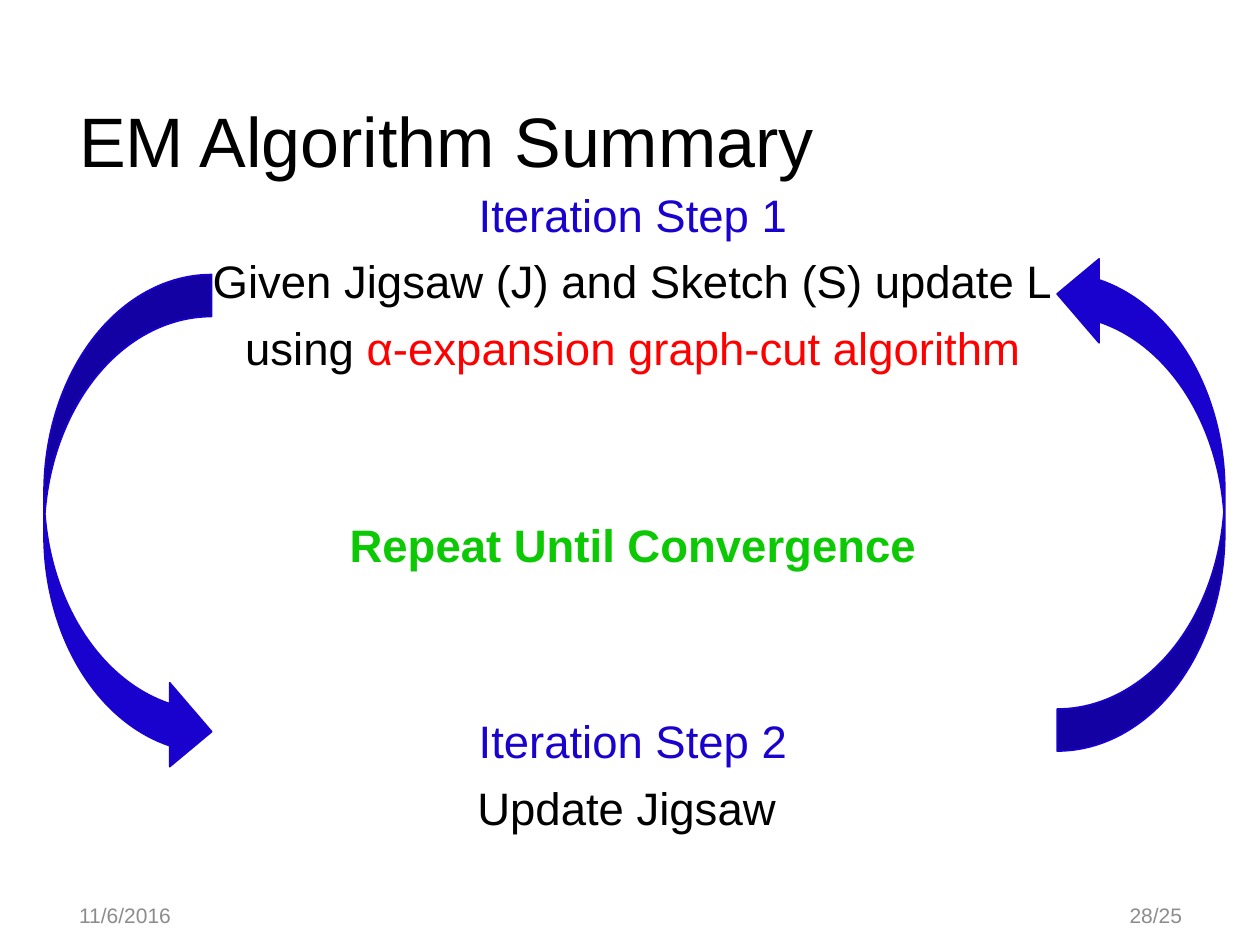
"""Build the EM algorithm summary slide."""
from dataclasses import dataclass

from pptx import Presentation
from pptx.dml.color import RGBColor
from pptx.enum.shapes import MSO_SHAPE as Shape
from pptx.enum.text import MSO_ANCHOR as Anchor, PP_ALIGN as Align
from pptx.slide import Slide
from pptx.util import Inches, Pt

COLORS = {"text": "000000", "blue": "1A02CE", "red": "FF0000",
          "green": "0DC804", "gray": "8C8C8C"}
FONT = "Arial"
LINE_GAP = 7.1
SECTION_GAP = 81.1


@dataclass(frozen=True)
class Line:
    phrases: tuple[tuple[str, str], ...]
    space_before: float = LINE_GAP
    bold: bool = False


@dataclass(frozen=True)
class Block:
    box: tuple[float, float, float, float]
    lines: tuple[Line, ...]
    size: int
    align: Align = Align.LEFT
    anchor: Anchor = Anchor.MIDDLE
    top_inset: float = 0.05
    bottom_inset: float = 0.05


@dataclass(frozen=True)
class LoopArrow:
    left: float
    top: float
    rotation: int


def single(text: str, color: str) -> tuple[Line, ...]:
    """Return one line of one colour, without space before it."""
    return (Line(((text, color),), 0),)


STEPS = (
    Line((("Iteration Step 1", "blue"),), 0),
    Line((("Given Jigsaw (J) and Sketch (S) update L", "text"),)),
    Line((("using ", "text"), ("α-expansion graph-cut algorithm", "red"))),
    Line((("Repeat Until Convergence", "green"),), SECTION_GAP, True),
    Line((("Iteration Step 2", "blue"),), SECTION_GAP),
    Line((("Update Jigsaw ", "text"),)),
)
BLOCKS = (
    Block((0.53, 0.57, 8.99, 0.97), single("EM Algorithm Summary", "text"), 40,
          anchor=Anchor.BOTTOM, bottom_inset=0.1),
    Block((0.53, 7.06, 2.25, 0.4), single("11/6/2016", "gray"), 12),
    Block((7.23, 7.06, 2.25, 0.4), single("28/25", "gray"), 12, Align.RIGHT),
    Block((0.53, 1.39, 8.99, 5.28), STEPS, 26, Align.CENTER, Anchor.TOP, 0.09),
)
LOOP_ARROWS = (LoopArrow(0.35, 2.18, 0), LoopArrow(8.39, 2, 180))


def rgb(color: str) -> RGBColor:
    """Look up a named colour."""
    return RGBColor.from_string(COLORS[color])


def draw_block(slide: Slide, block: Block) -> None:
    """Draw a text block with its paragraphs."""
    frame = slide.shapes.add_textbox(*map(Inches, block.box)).text_frame
    frame.word_wrap = True
    frame.vertical_anchor = block.anchor
    frame.margin_top = Inches(block.top_inset)
    frame.margin_bottom = Inches(block.bottom_inset)
    for index, line in enumerate(block.lines):
        paragraph = frame.add_paragraph() if index else frame.paragraphs[0]
        paragraph.alignment = block.align
        paragraph.space_before = Pt(line.space_before)
        paragraph.font.name = FONT
        paragraph.font.size = Pt(block.size)
        paragraph.font.bold = line.bold
        for text, color in line.phrases:
            run = paragraph.add_run()
            run.text = text
            run.font.color.rgb = rgb(color)


def draw_loop_arrow(slide: Slide, arrow: LoopArrow) -> None:
    """Draw one curved arrow of the iteration loop."""
    curve = slide.shapes.add_shape(Shape.CURVED_RIGHT_ARROW, Inches(arrow.left),
                                   Inches(arrow.top), Inches(1.33), Inches(3.96))
    curve.rotation = arrow.rotation
    curve.shadow.inherit = False
    curve.fill.solid()
    curve.fill.fore_color.rgb = rgb("blue")
    curve.line.color.rgb = rgb("blue")
    curve.line.width = Pt(1)


def main() -> None:
    """Build and save the slide."""
    deck = Presentation()
    deck.slide_width, deck.slide_height = Inches(10), Inches(7.5)
    slide = deck.slides.add_slide(deck.slide_layouts[6])
    for block in BLOCKS:
        draw_block(slide, block)
    for arrow in LOOP_ARROWS:
        draw_loop_arrow(slide, arrow)
    deck.save("out.pptx")


if __name__ == "__main__":
    main()
